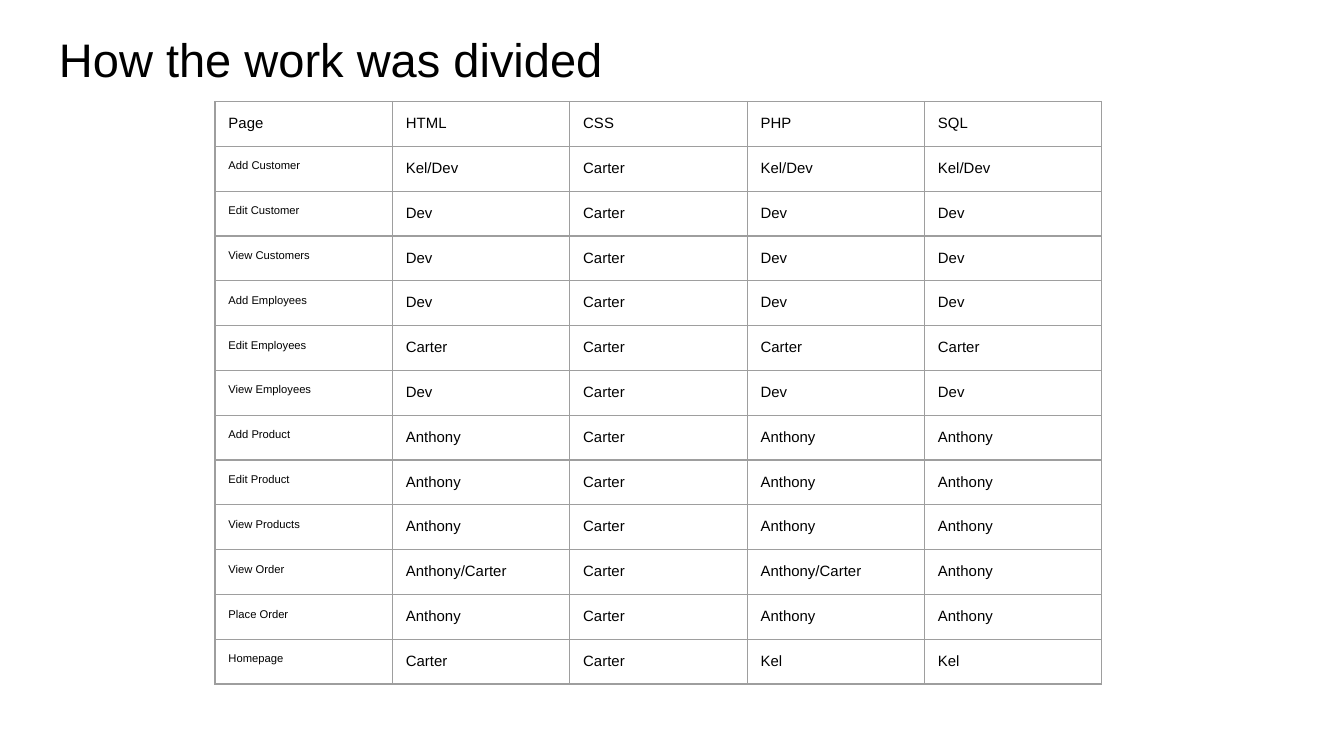
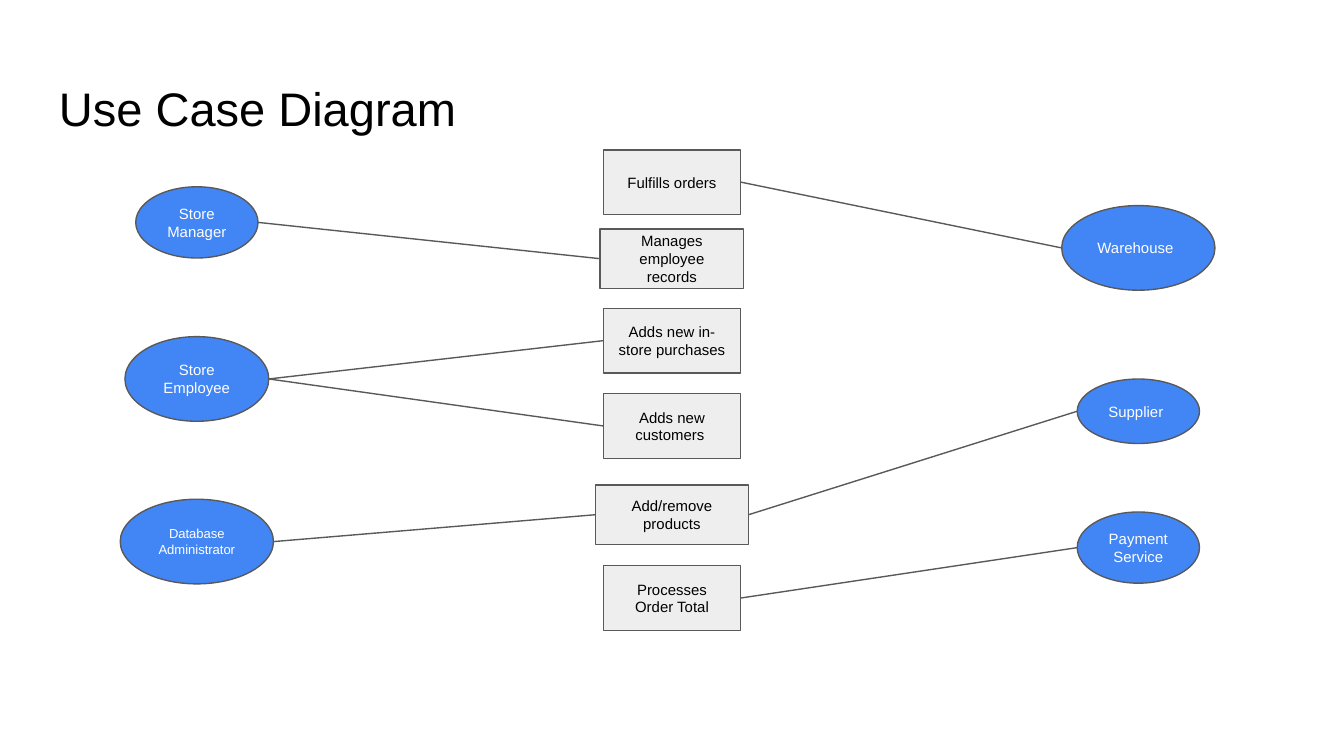
from lxml.etree import SubElement
from pptx import Presentation
from pptx.dml.color import RGBColor
from pptx.enum.shapes import MSO_CONNECTOR as Connector, MSO_SHAPE as Shape
from pptx.enum.text import MSO_ANCHOR as Anchor, PP_ALIGN as Align
from pptx.oxml.ns import qn
from pptx.util import Inches, Pt

BLACK = RGBColor(0x00, 0x00, 0x00)
WHITE = RGBColor(0xFF, 0xFF, 0xFF)
ACTOR_BLUE = RGBColor(0x42, 0x85, 0xF4)
TASK_GREY = RGBColor(0xEE, 0xEE, 0xEE)
OUTLINE = RGBColor(0x59, 0x59, 0x59)
TABLE_RULE = RGBColor(0x9E, 0x9E, 0x9E)

FONT = "Arial"
RULE_WIDTH = Pt(0.75)
COLUMNS = 100  # grid columns over the slide width; rows are equally tall
LEFT, RIGHT = 1, 3  # connection sites of a rectangle


def write(frame, text, size=8, color=BLACK, align=Align.LEFT, anchor=Anchor.TOP):
    frame.word_wrap = True
    frame.vertical_anchor = anchor
    frame.margin_left = frame.margin_right = Inches(0.1)
    frame.margin_top = frame.margin_bottom = Inches(0.1)
    paragraph = frame.paragraphs[0]
    paragraph.alignment = align
    run = paragraph.add_run()
    run.text = text
    run.font.name = FONT
    run.font.size = Pt(size)
    run.font.color.rgb = color


class Deck:
    """Holds the shared style and the slide being filled."""

    def __init__(self):
        self.prs = Presentation()
        self.prs.slide_width = Inches(10)
        self.prs.slide_height = Inches(10 * 9 / 16)
        self.unit = self.prs.slide_width / COLUMNS
        self.slide = None

    def grid(self, *cells):
        return [round(cell * self.unit) for cell in cells]

    def new_slide(self, title, row):
        self.slide = self.prs.slides.add_slide(self.prs.slide_layouts[6])
        heading = self.slide.shapes.add_textbox(*self.grid(3.4, row, 93.2, 6.3))
        write(heading.text_frame, title, size=25.2)

    def table(self, rows, left, top, col_width, row_height):
        count, across = len(rows), len(rows[0])
        area = self.grid(left, top, col_width * across, row_height * count)
        table = self.slide.shapes.add_table(count, across, *area).table
        table.first_row = table.horz_banding = False
        for r, texts in enumerate(rows):
            for c, text in enumerate(texts):
                cell = table.cell(r, c)
                self.cell_borders(cell)
                cell.fill.background()
                write(cell.text_frame, text, size=6 if r and not c else 8)
                cell.margin_left = cell.margin_right = Inches(0.1)
                cell.margin_top = cell.margin_bottom = Inches(0.1)

    def cell_borders(self, cell):
        properties = cell._tc.get_or_add_tcPr()
        for side in ("a:lnL", "a:lnR", "a:lnT", "a:lnB"):
            border = SubElement(properties, qn(side), w=str(RULE_WIDTH))
            fill = SubElement(border, qn("a:solidFill"))
            SubElement(fill, qn("a:srgbClr"), val=str(TABLE_RULE))

    def node(self, kind, text, x, y, width, height, fill, **text_format):
        """Places a shape by its centre."""
        area = self.grid(x - width / 2, y - height / 2, width, height)
        node = self.slide.shapes.add_shape(kind, *area)
        node.shadow.inherit = False
        node.fill.solid()
        node.fill.fore_color.rgb = fill
        node.line.color.rgb = OUTLINE
        node.line.width = RULE_WIDTH
        write(node.text_frame, text, anchor=Anchor.MIDDLE, **text_format)
        return node

    def actor(self, text, x, y, width, height, **text_format):
        text_format = {"align": Align.CENTER, "color": WHITE, **text_format}
        return self.node(Shape.OVAL, text, x, y, width, height, ACTOR_BLUE, **text_format)

    def task(self, text, y, width, height):
        return self.node(Shape.RECTANGLE, text, 50, y, width, height, TASK_GREY,
                         align=Align.CENTER)

    def link(self, task, actor):
        """Joins a task to the facing end of an actor on either side."""
        on_left = actor.left < task.left
        x = actor.left + actor.width if on_left else actor.left
        y = actor.top + actor.height // 2
        line = self.slide.shapes.add_connector(Connector.STRAIGHT, x, y, x, y)
        line.begin_connect(task, LEFT if on_left else RIGHT)
        line.line.color.rgb = OUTLINE
        line.line.width = RULE_WIDTH
        SubElement(line._element.spPr, qn("a:effectLst"))


WORK = [
    ("Page", "HTML", "CSS", "PHP", "SQL"),
    ("Add Customer", "Kel/Dev", "Carter", "Kel/Dev", "Kel/Dev"),
    ("Edit Customer", "Dev", "Carter", "Dev", "Dev"),
    ("View Customers", "Dev", "Carter", "Dev", "Dev"),
    ("Add Employees", "Dev", "Carter", "Dev", "Dev"),
    ("Edit Employees", "Carter", "Carter", "Carter", "Carter"),
    ("View Employees", "Dev", "Carter", "Dev", "Dev"),
    ("Add Product", "Anthony", "Carter", "Anthony", "Anthony"),
    ("Edit Product", "Anthony", "Carter", "Anthony", "Anthony"),
    ("View Products", "Anthony", "Carter", "Anthony", "Anthony"),
    ("View Order", "Anthony/Carter", "Carter", "Anthony/Carter", "Anthony"),
    ("Place Order", "Anthony", "Carter", "Anthony", "Anthony"),
    ("Homepage", "Carter", "Carter", "Kel", "Kel"),
]


def work_slide(deck):
    deck.new_slide("How the work was divided", row=1.3)
    deck.table(WORK, left=16, top=7.55, col_width=13.2, row_height=3.25)


def use_case_slide(deck):
    deck.new_slide("Use Case Diagram", row=4.9)

    # Actors: staff on the left, outside parties on the right
    staff, outside = 14.65, 84.7
    manager = deck.actor("Store Manager", staff, 16.55, 9.1, 5.3)
    employee = deck.actor("Store Employee", staff, 28.2, 10.7, 6.3)
    administrator = deck.actor("Database Administrator", staff, 40.3, 11.4, 6.3, size=7)
    warehouse = deck.actor("Warehouse", outside, 18.45, 11.4, 6.3, align=Align.LEFT)
    supplier = deck.actor("Supplier", outside, 30.6, 9.1, 4.8, align=Align.LEFT)
    payment = deck.actor("Payment Service", outside, 40.75, 9.1, 5.3)

    # Tasks down the middle
    orders = deck.task("Fulfills orders", 13.55, 10.2, 4.8)
    records = deck.task("Manages employee records", 19.25, 10.7, 4.4)
    purchases = deck.task("Adds new in-store purchases", 25.35, 10.2, 4.8)
    customers = deck.task("Adds new customers ", 31.7, 10.2, 4.8)
    products = deck.task("Add/remove products", 38.3, 11.4, 4.4)
    total = deck.task("Processes Order Total", 44.5, 10.2, 4.8)

    # Who takes part in what
    for task, actor in [
        (records, manager), (orders, warehouse), (purchases, employee),
        (customers, employee), (products, administrator),
        (products, supplier), (total, payment),
    ]:
        deck.link(task, actor)


def main():
    deck = Deck()
    work_slide(deck)
    use_case_slide(deck)
    deck.prs.save("out.pptx")


if __name__ == "__main__":
    main()
